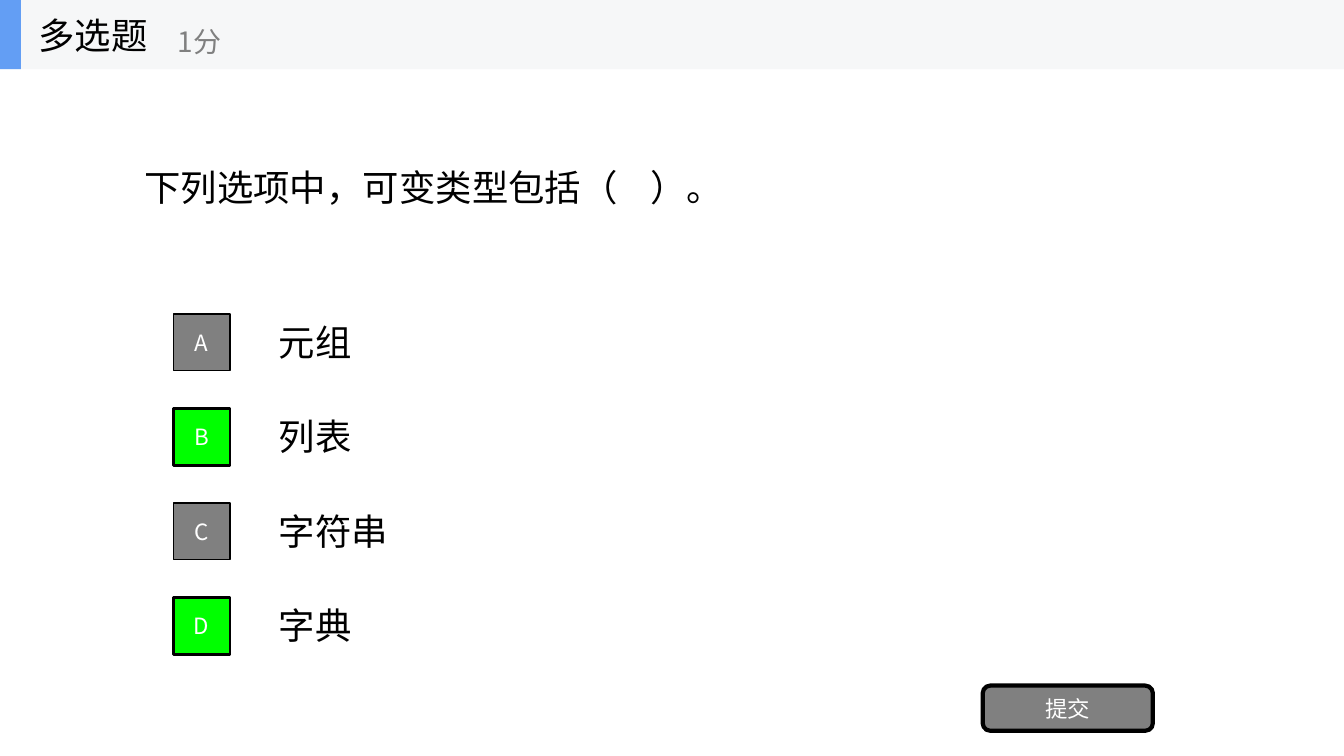
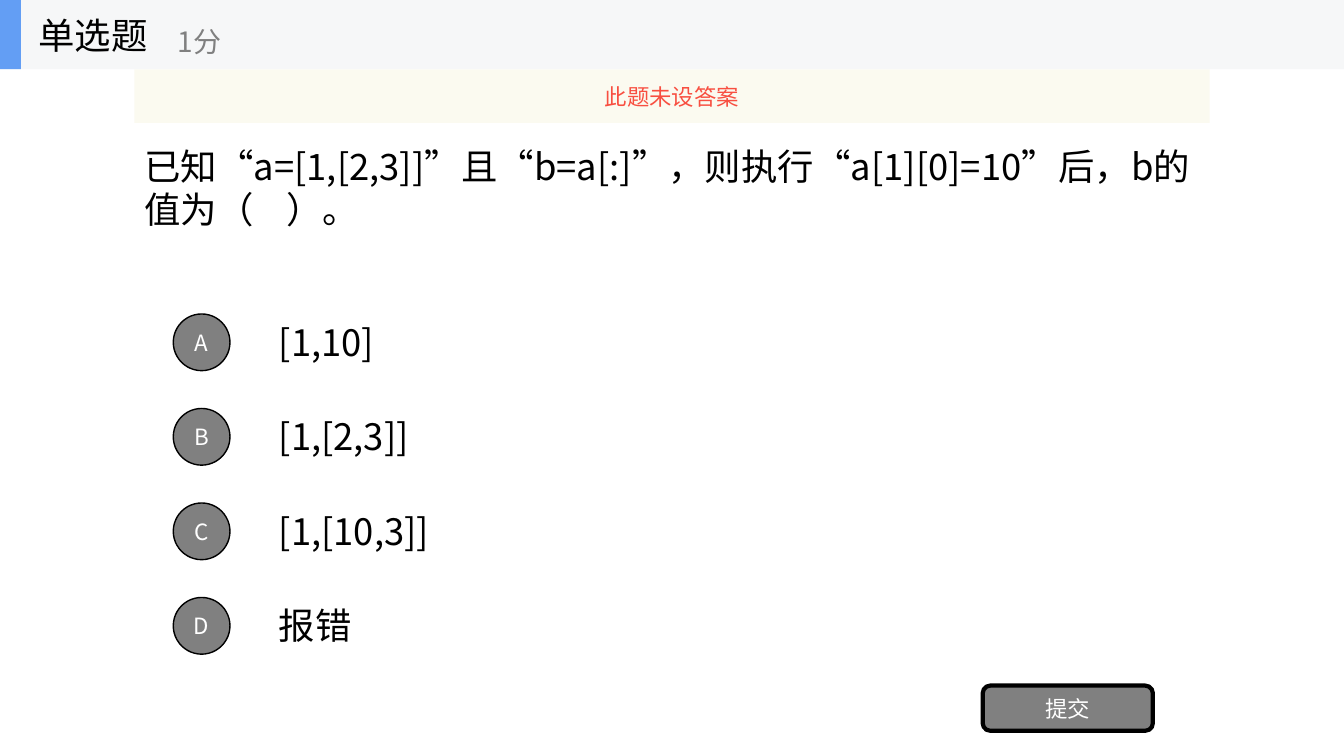
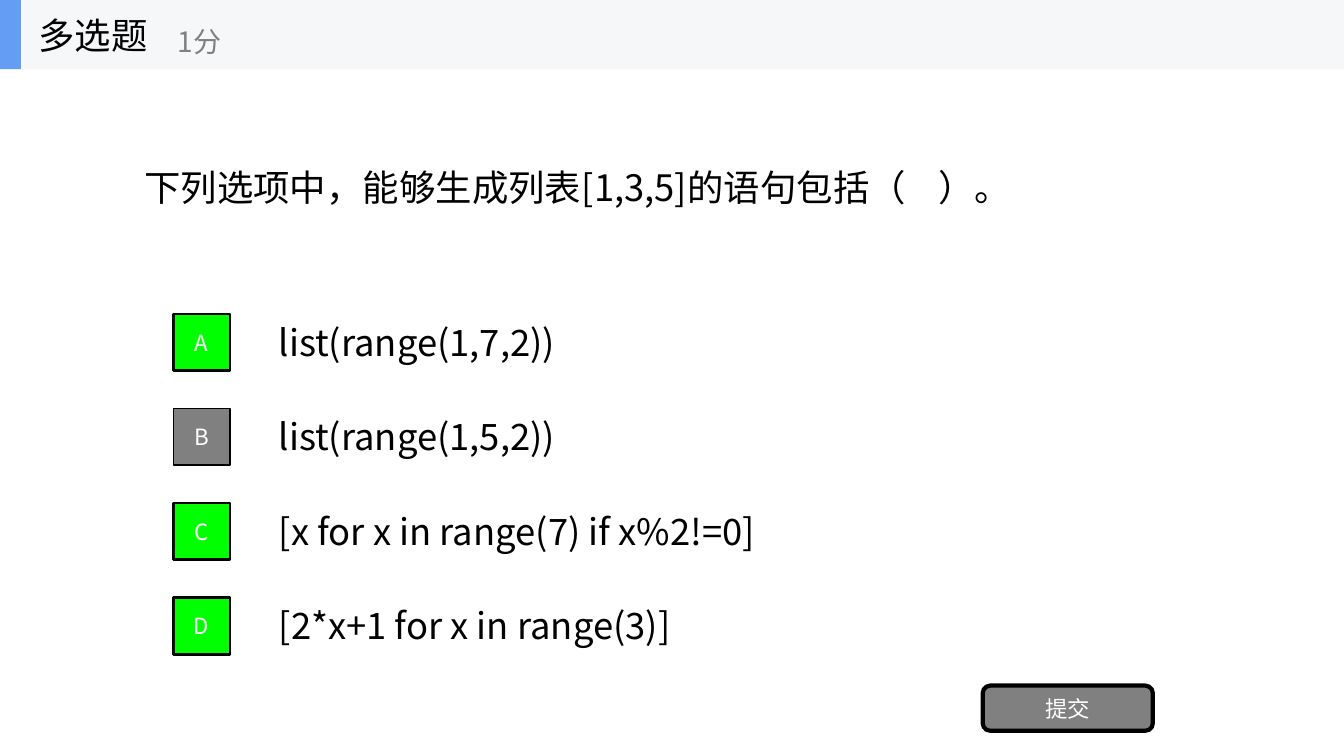
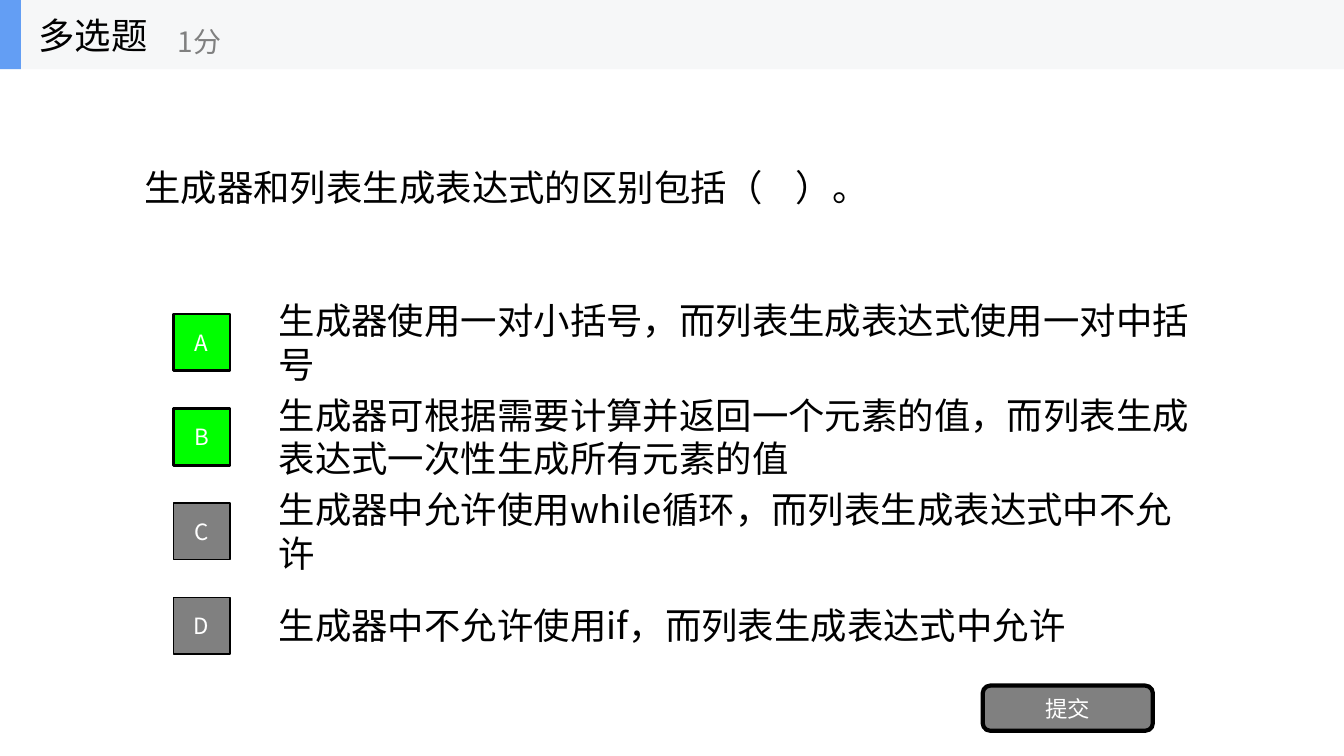
from dataclasses import dataclass
from typing import Any, Optional

from lxml.etree import SubElement
from pptx import Presentation
from pptx.dml.color import RGBColor
from pptx.enum.shapes import MSO_SHAPE
from pptx.enum.text import MSO_ANCHOR, PP_ALIGN
from pptx.oxml.ns import qn
from pptx.util import Emu, Pt

PX = 9525  # EMU per px, 96 px to the inch
WIDTH, HEIGHT = 1280, 720
FONT = "Noto Sans CJK SC"
COLORS = {
    "text": "000000",
    "white": "FFFFFF",
    "gray": "808080",
    "correct": "00FF00",
    "band": "F6F7F8",
    "accent": "639EF4",
    "notice": "FBFAEF",
    "warning": "F84F41",
}

# Layout in px
BAND_HEIGHT = 66
MARGIN, CONTENT_WIDTH = 128, 1024
FIRST_ROW, ROW_PITCH, ROW_HEIGHT = 292, 90, 67
TILE_LEFT, TILE_SIZE, TILE_DROP = 165, 54, 7


@dataclass(frozen=True)
class Area:
    left: int
    top: int
    width: int
    height: int

    def emu(self) -> tuple[Emu, ...]:
        return tuple(Emu(n * PX) for n in (self.left, self.top, self.width, self.height))


@dataclass(frozen=True)
class Question:
    kind: str
    prompt: str
    options: tuple[str, ...]
    correct: str = ""
    tile: MSO_SHAPE = MSO_SHAPE.RECTANGLE
    notice: Optional[str] = None


QUESTIONS = (
    Question("多选题", "下列选项中，可变类型包括（    ）。",
             ("元组", "列表", "字符串", "字典"), correct="BD"),
    Question("单选题", "已知“a=[1,[2,3]]”且“b=a[:]”，则执行“a[1][0]=10”后，b的值为（    ）。",
             ("[1,10]", "[1,[2,3]]", "[1,[10,3]]", "报错"),
             tile=MSO_SHAPE.OVAL, notice="此题未设答案"),
    Question("多选题", "下列选项中，能够生成列表[1,3,5]的语句包括（    ）。",
             ("list(range(1,7,2))", "list(range(1,5,2))",
              "[x for x in range(7) if x%2!=0]", "[2*x+1 for x in range(3)]"),
             correct="ACD"),
    Question("多选题", "生成器和列表生成表达式的区别包括（    ）。",
             ("生成器使用一对小括号，而列表生成表达式使用一对中括号",
              "生成器可根据需要计算并返回一个元素的值，而列表生成表达式一次性生成所有元素的值",
              "生成器中允许使用while循环，而列表生成表达式中不允许",
              "生成器中不允许使用if，而列表生成表达式中允许"),
             correct="AB"),
)


def write(shape: Any, text: str, *, size: int = 26, color: str = "text",
          align: PP_ALIGN = PP_ALIGN.LEFT) -> None:
    frame = shape.text_frame
    frame.word_wrap = True
    frame.vertical_anchor = MSO_ANCHOR.MIDDLE
    para = frame.paragraphs[0]
    para.alignment = align
    span = para.add_run()
    span.text = text
    span.font.size = Pt(size)
    span.font.color.rgb = RGBColor.from_string(COLORS[color])
    span.font.name = FONT
    # East Asian characters take their own typeface entry
    SubElement(span.font._element, qn("a:ea"), typeface=FONT)


def add_label(shapes: Any, area: Area, text: str, **style: Any) -> None:
    write(shapes.add_textbox(*area.emu()), text, **style)


def add_block(shapes: Any, area: Area, fill: str, *,
              kind: MSO_SHAPE = MSO_SHAPE.RECTANGLE, line: int = 0) -> Any:
    shape = shapes.add_shape(kind, *area.emu())
    shape.shadow.inherit = False
    shape.fill.solid()
    shape.fill.fore_color.rgb = RGBColor.from_string(COLORS[fill])
    if line:
        shape.line.color.rgb = RGBColor.from_string(COLORS["text"])
        shape.line.width = Pt(line)
    else:
        shape.line.fill.background()
    return shape


def add_button(shapes: Any, area: Area, text: str, fill: str, **outline: Any) -> None:
    shape = add_block(shapes, area, fill, **outline)
    write(shape, text, size=16, color="white", align=PP_ALIGN.CENTER)


def add_header(page: Any, title: str) -> None:
    shapes = page.shapes.add_group_shape().shapes
    add_block(shapes, Area(0, 0, WIDTH, BAND_HEIGHT), "band")
    add_block(shapes, Area(0, 0, 20, BAND_HEIGHT), "accent")
    add_label(shapes, Area(27, 0, 200, BAND_HEIGHT), title)
    add_label(shapes, Area(160, 12, 240, 54), "1分", size=20, color="gray")


def add_notice(page: Any, text: str) -> None:
    box = add_block(page.shapes, Area(MARGIN, BAND_HEIGHT, CONTENT_WIDTH, 51), "notice")
    tint = box._element.spPr.find(qn("a:solidFill"))[0]
    SubElement(tint, qn("a:alpha"), val="90000")
    write(box, text, size=16, color="warning", align=PP_ALIGN.CENTER)


def add_question(deck: Any, question: Question) -> None:
    page = deck.slides.add_slide(deck.slide_layouts[6])
    add_label(page.shapes, Area(MARGIN, BAND_HEIGHT, CONTENT_WIDTH, 225), question.prompt)

    # Option texts, then their letter tiles
    tops = [FIRST_ROW + ROW_PITCH * row for row in range(len(question.options))]
    for top, option in zip(tops, question.options):
        add_label(page.shapes, Area(256, top, 896, ROW_HEIGHT), option)
    for top, letter in zip(tops, "ABCD"):
        correct = letter in question.correct
        add_button(page.shapes, Area(TILE_LEFT, top + TILE_DROP, TILE_SIZE, TILE_SIZE),
                   letter, "correct" if correct else "gray",
                   kind=question.tile, line=2 if correct else 1)

    add_button(page.shapes, Area(936, 653, 162, 43), "提交", "gray",
               kind=MSO_SHAPE.ROUNDED_RECTANGLE, line=3)
    add_header(page, question.kind)
    if question.notice:
        add_notice(page, question.notice)


def main() -> None:
    deck = Presentation()
    deck.slide_width, deck.slide_height = Emu(WIDTH * PX), Emu(HEIGHT * PX)
    for question in QUESTIONS:
        add_question(deck, question)
    deck.save("out.pptx")


if __name__ == "__main__":
    main()
